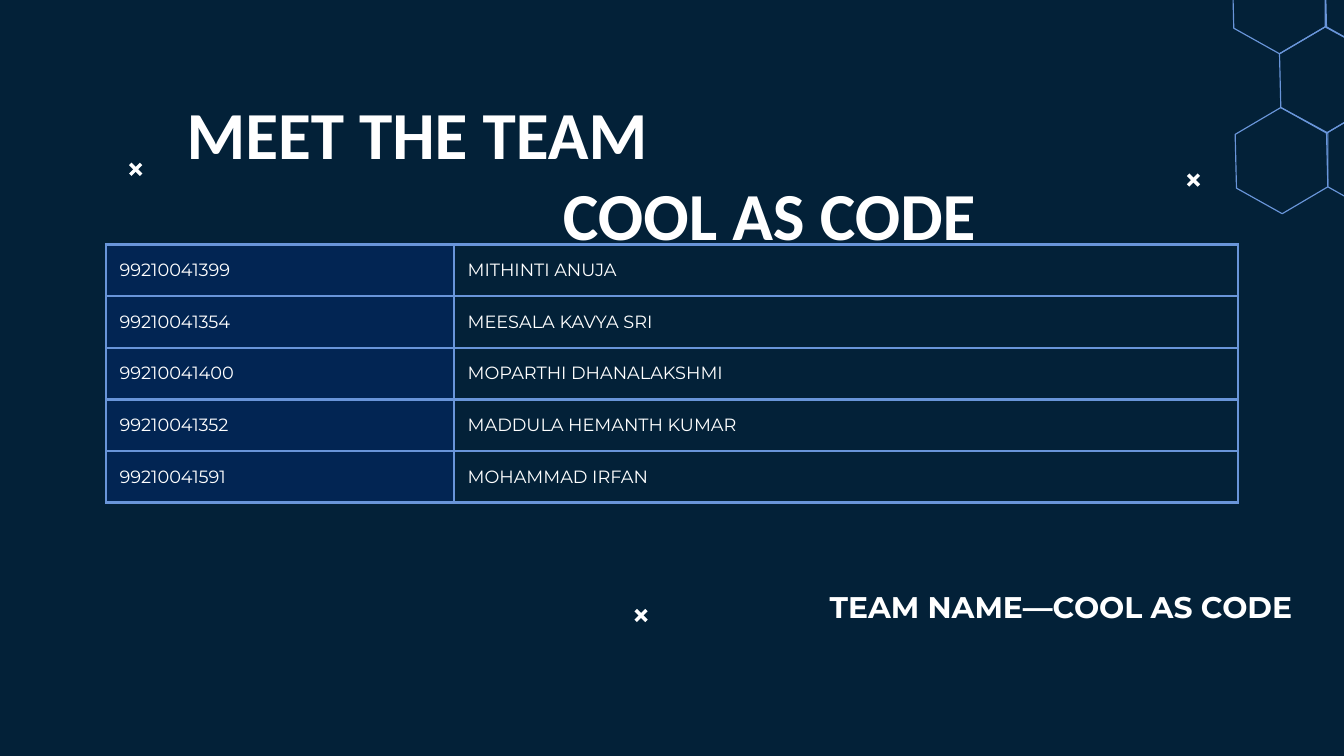
from lxml.etree import SubElement
from pptx import Presentation
from pptx.dml.color import RGBColor
from pptx.enum.shapes import MSO_CONNECTOR
from pptx.enum.text import MSO_ANCHOR, PP_ALIGN
from pptx.oxml.ns import qn
from pptx.util import Inches, Pt

COLORS = {"background": "032138", "line": "6995D9", "text": "FFFFFF", "number": "002E8A"}
SLIDE_WIDTH = 10
SLIDE_HEIGHT = SLIDE_WIDTH * 9 / 16
TITLE_LINES = ["MEET THE TEAM", "COOL AS CODE"]
TITLE_STEP = 2.8
TEAM_NAME = ["TEAM NAME—COOL AS CODE"]
MEMBERS = [
    ("99210041399", "MITHINTI ANUJA"),
    ("99210041354", "MEESALA KAVYA SRI"),
    ("99210041400", "MOPARTHI DHANALAKSHMI"),
    ("99210041352", "MADDULA HEMANTH KUMAR"),
    ("99210041591", "MOHAMMAD IRFAN"),
]
COLUMN_WIDTHS = [2.59, 5.83]
TABLE_LEFT, TABLE_TOP, TABLE_HEIGHT = 0.79, 1.82, 1.92
HEXAGON_CORNERS = [(0.34, -0.21), (0.34, 0.19), (0, 0.39), (-0.34, 0.2), (-0.35, -0.2), (-0.01, -0.4)]
HEXAGON_CENTERS = [(9.54, 1.2), (10.22, 1.19), (9.87, 0.6), (9.52, 0.01), (10.21, 0)]
CROSSES = [(8.84, 1.3), (4.73, 4.54), (0.97, 1.22)]
CROSS_SIZE = 0.08


def color(name):
    return RGBColor.from_string(COLORS[name])


def write(frame, lines, size, font="Montserrat", bold=False, align=PP_ALIGN.LEFT, step=0):
    frame.word_wrap = True
    frame.margin_left = frame.margin_right = Inches(0.1)
    frame.margin_top = frame.margin_bottom = Inches(0.1)
    for index, text in enumerate(lines):
        para = frame.add_paragraph() if index else frame.paragraphs[0]
        para.alignment = align
        if index:
            para._p.get_or_add_pPr().set("marL", str(Inches(step * index)))
        span = para.add_run()
        span.text = text
        span.font.size = Pt(size)
        span.font.name = font
        span.font.bold = bold
        span.font.color.rgb = color("text")


def add_text(page, lines, left, top, width, height, **style):
    box = page.shapes.add_textbox(Inches(left), Inches(top), Inches(width), Inches(height))
    write(box.text_frame, lines, **style)


def add_hexagon(page, center_x, center_y):
    corners = [(Inches(center_x + x), Inches(center_y + y)) for x, y in HEXAGON_CORNERS]
    builder = page.shapes.build_freeform(*corners[0])
    builder.add_line_segments(corners[1:], close=True)
    hexagon = builder.convert_to_shape()
    hexagon.shadow.inherit = False
    hexagon.fill.background()
    hexagon.line.color.rgb = color("line")
    hexagon.line.width = Pt(0.61)


def add_cross(page, left, top):
    right, bottom = left + CROSS_SIZE, top + CROSS_SIZE
    for start, end in [(bottom, top), (top, bottom)]:
        stroke = page.shapes.add_connector(
            MSO_CONNECTOR.STRAIGHT, Inches(left), Inches(start), Inches(right), Inches(end))
        stroke.line.color.rgb = color("text")
        stroke.line.width = Pt(1.84)
        SubElement(stroke._element.spPr, qn("a:effectLst"))


def add_borders(cell):
    properties = cell._tc.get_or_add_tcPr()
    for index, side in enumerate(["lnL", "lnR", "lnT", "lnB"]):
        border = SubElement(properties, qn(f"a:{side}"), w=str(Pt(1.5)))
        fill = SubElement(border, qn("a:solidFill"))
        SubElement(fill, qn("a:srgbClr"), val=COLORS["line"])
        properties.insert(index, border)


def add_members(page):
    table = page.shapes.add_table(
        len(MEMBERS), len(COLUMN_WIDTHS), Inches(TABLE_LEFT), Inches(TABLE_TOP),
        Inches(sum(COLUMN_WIDTHS)), Inches(TABLE_HEIGHT)).table
    table.first_row = table.horz_banding = False
    for column, width in zip(table.columns, COLUMN_WIDTHS):
        column.width = Inches(width)
    for row, member in enumerate(MEMBERS):
        for column, text in enumerate(member):
            cell = table.cell(row, column)
            write(cell.text_frame, [text], size=9.5)
            cell.margin_left = cell.margin_right = Inches(0.1)
            cell.margin_top = cell.margin_bottom = Inches(0.1)
            cell.vertical_anchor = MSO_ANCHOR.MIDDLE
            if column == 0:
                cell.fill.solid()
                cell.fill.fore_color.rgb = color("number")
                tint = cell._tc.tcPr.find(".//" + qn("a:srgbClr"))
                SubElement(tint, qn("a:alpha"), val="33000")
            else:
                cell.fill.background()
            add_borders(cell)


def main():
    deck = Presentation()
    deck.slide_width, deck.slide_height = Inches(SLIDE_WIDTH), Inches(SLIDE_HEIGHT)
    page = deck.slides.add_slide(deck.slide_layouts[6])
    page.background.fill.solid()
    page.background.fill.fore_color.rgb = color("background")
    for center in HEXAGON_CENTERS:
        add_hexagon(page, *center)
    add_text(page, TITLE_LINES, 1.29, 0.59, 6.5, 1.4,
             size=36, font="Calibri", bold=True, step=TITLE_STEP)
    add_members(page)
    add_text(page, TEAM_NAME, 5.79, 4.28, 4.21, 0.5, size=16, bold=True, align=PP_ALIGN.CENTER)
    for corner in CROSSES:
        add_cross(page, *corner)
    deck.save("out.pptx")


if __name__ == "__main__":
    main()
